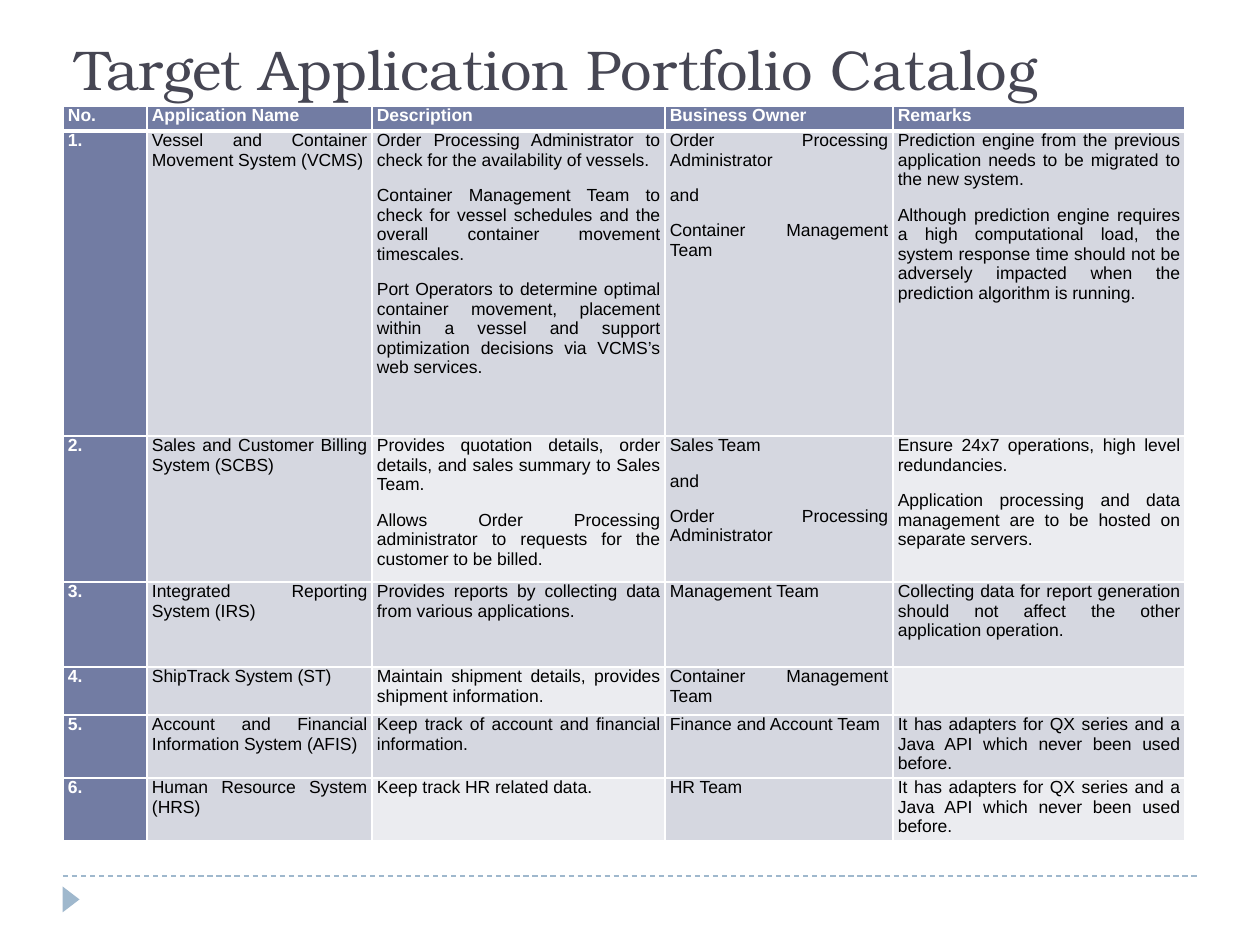
from lxml import etree
from pptx import Presentation
from pptx import util as u
from pptx.dml.color import RGBColor
from pptx.enum import dml, shapes, text
from pptx.oxml.ns import qn

SCALE = 914400 // 126
COLORS = {
    "title": "464653", "accent": "727CA3", "band": "D5D7E0", "light": "EBECF0",
    "white": "FFFFFF", "black": "000000", "footer": "9FB8CD",
}
TITLE = "Target Application Portfolio Catalog"
ADAPTERS = "It has adapters for QX series and a Java API which never been used before."
HEADERS = ["No.", "Application Name", "Description", "Business Owner", "Remarks"]
APPLICATIONS = [
    ("Vessel and Container Movement System (VCMS)",
     "Order Processing Administrator to check for the availability of vessels.\n"
     "Container Management Team to check for vessel schedules and the overall container movement timescales.\n"
     "Port Operators to determine optimal container movement, placement within a vessel and support "
     "optimization decisions via VCMS’s web services.",
     "Order Processing Administrator\nand\nContainer Management Team",
     "Prediction engine from the previous application needs to be migrated to the new system.\n"
     "Although prediction engine requires a high computational load, the system response time should not be "
     "adversely impacted when the prediction algorithm is running."),
    ("Sales and Customer Billing System (SCBS)",
     "Provides quotation details, order details, and sales summary to Sales Team.\n"
     "Allows Order Processing administrator to requests for the customer to be billed.",
     "Sales Team\nand\nOrder Processing Administrator",
     "Ensure 24x7 operations, high level redundancies.\n"
     "Application processing and data management are to be hosted on separate servers."),
    ("Integrated Reporting System (IRS)",
     "Provides reports by collecting data from various applications.",
     "Management Team",
     "Collecting data for report generation should not affect the other application operation."),
    ("ShipTrack System (ST)",
     "Maintain shipment details, provides shipment information.",
     "Container Management Team", ""),
    ("Account and Financial Information System (AFIS)",
     "Keep track of account and financial information.",
     "Finance and Account Team", ADAPTERS),
    ("Human Resource System (HRS)", "Keep track HR related data.", "HR Team", ADAPTERS),
]
COLUMN_WIDTHS = [84, 225, 293, 228, 292]
ROW_HEIGHTS = [25, 305, 146, 85, 48, 63, 63]


def px(value):
    return u.Emu(round(value * SCALE))


def color(name):
    return RGBColor.from_string(COLORS[name])


def write(frame, content, *, size, font, ink, bold=False, align=None, before=0, after=0):
    frame.word_wrap = True
    for index, line in enumerate(content.split("\n")):
        paragraph = frame.add_paragraph() if index else frame.paragraphs[0]
        paragraph.alignment = align
        paragraph.space_before, paragraph.space_after = u.Pt(before), u.Pt(after)
        paragraph.font.size = u.Pt(size)
        if line:
            run = paragraph.add_run()
            run.text = line
            run.font.size, run.font.name, run.font.bold = u.Pt(size), font, bold
            run.font.color.rgb = color(ink)


def add_borders(cell, bottom):
    properties = cell._tc.get_or_add_tcPr()
    widths = {"lnL": 1, "lnR": 1, "lnT": 1, "lnB": bottom}
    for index, (side, width) in enumerate(widths.items()):
        border = etree.Element(qn("a:" + side), w=str(u.Pt(width)))
        fill = etree.SubElement(border, qn("a:solidFill"))
        etree.SubElement(fill, qn("a:srgbClr"), val=COLORS["white"])
        properties.insert(index, border)


def cell_fill(row, column):
    if row == 0 or column == 0:
        return "accent"
    return "light" if row % 2 == 0 and column % 2 == 0 else "band"


def add_catalog(slide):
    rows = [HEADERS] + [(f"{number}.", *fields) for number, fields in enumerate(APPLICATIONS, 1)]
    table = slide.shapes.add_table(
        len(rows), len(HEADERS), px(63), px(106), px(sum(COLUMN_WIDTHS)), px(sum(ROW_HEIGHTS))).table
    for column, width in zip(table.columns, COLUMN_WIDTHS):
        column.width = px(width)
    for row, height in zip(table.rows, ROW_HEIGHTS):
        row.height = px(height)
    for row, fields in enumerate(rows):
        for column, content in enumerate(fields):
            cell = table.cell(row, column)
            heading = row == 0 or column == 0
            cell.margin_left = cell.margin_right = px(5)
            cell.margin_top = cell.margin_bottom = 0
            cell.fill.solid()
            cell.fill.fore_color.rgb = color(cell_fill(row, column))
            add_borders(cell, bottom=1 if row else 3)
            write(cell.text_frame, content, size=10, font="Arial", bold=heading,
                  ink="white" if heading else "black",
                  align=text.PP_ALIGN.JUSTIFY, before=6, after=3)


def add_footer(slide):
    line = slide.shapes.add_connector(shapes.MSO_CONNECTOR.STRAIGHT, px(63), px(876), px(1197), px(876))
    line.line.color.rgb = color("footer")
    line.line.width = u.Pt(0.75)
    line.line.dash_style = dml.MSO_LINE.DASH
    etree.SubElement(line._element.spPr, qn("a:effectLst"))
    arrow = slide.shapes.add_shape(shapes.MSO_SHAPE.ISOSCELES_TRIANGLE, px(58), px(891), px(26), px(17))
    arrow.rotation = 90
    arrow.shadow.inherit = False
    arrow.fill.solid()
    arrow.fill.fore_color.rgb = color("footer")
    arrow.line.fill.background()


def main():
    presentation = Presentation()
    presentation.slide_width, presentation.slide_height = px(1260), px(945)
    slide = presentation.slides.add_slide(presentation.slide_layouts[5])
    add_footer(slide)
    title = slide.shapes.title
    title.left, title.top, title.width, title.height = px(63), px(21), px(1134), px(95)
    title.text_frame.vertical_anchor = text.MSO_ANCHOR.MIDDLE
    write(title.text_frame, TITLE, size=32, font="TeX Gyre Bonum", ink="title", align=text.PP_ALIGN.LEFT)
    add_catalog(slide)
    presentation.save("out.pptx")


if __name__ == "__main__":
    main()
